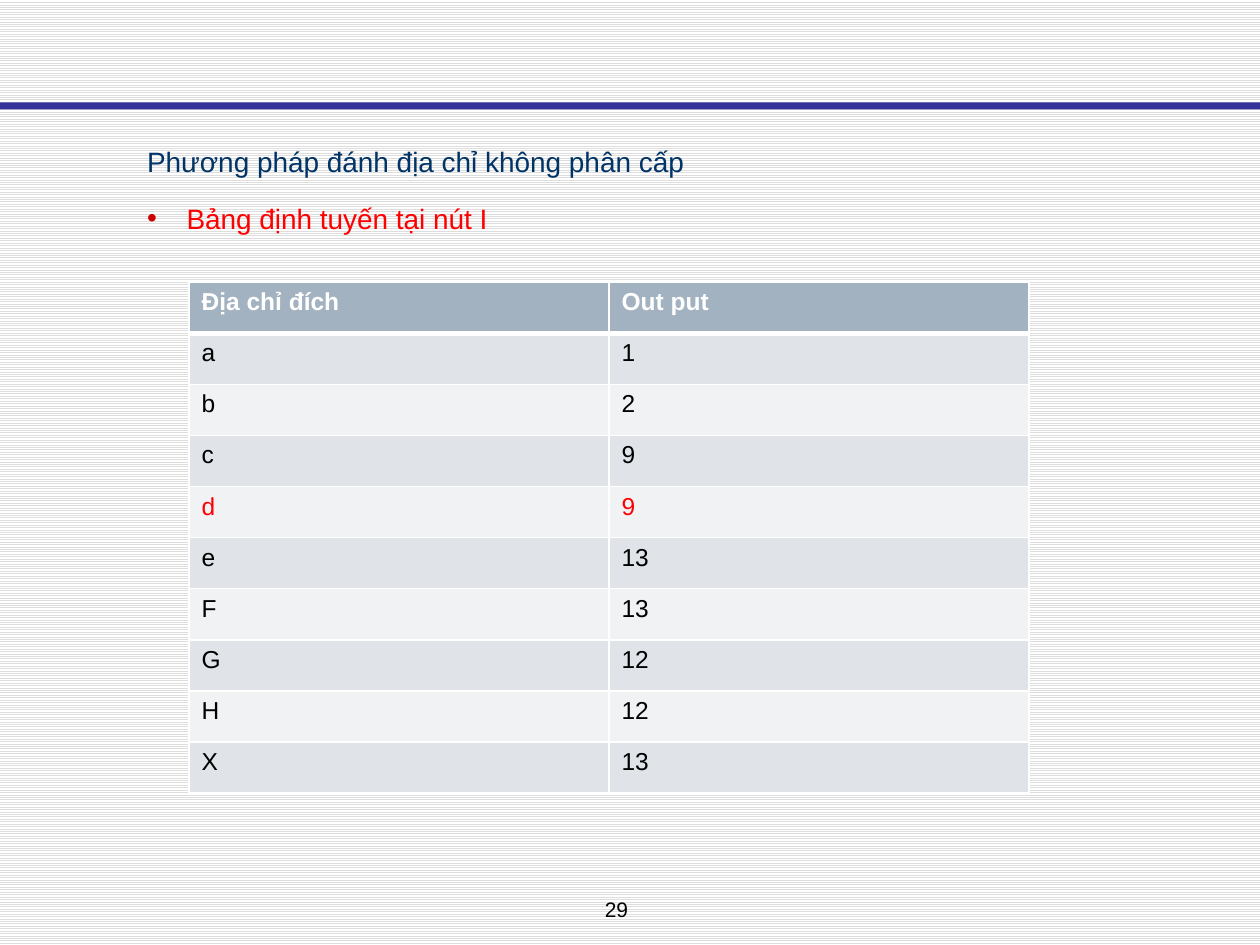
from lxml.etree import SubElement as Sub
from pptx import Presentation
from pptx.dml.color import RGBColor
from pptx.enum.dml import MSO_PATTERN
from pptx.enum.shapes import MSO_SHAPE as Shape
from pptx.enum.text import PP_ALIGN as Align
from pptx.oxml.ns import qn
from pptx.util import Pt


def color(code):
    return RGBColor.from_string(code)


class Deck:
    face = "Arial"
    white, black, red, navy = "FFFFFF", "000000", "FF0000", "003366"
    head, bands = "A3B2C1", ("E0E4E9", "F0F2F4")

    def __init__(self, wide, high):
        self.file = Presentation()
        self.file.slide_width, self.file.slide_height = Pt(wide), Pt(high)
        self.slide = self.file.slides.add_slide(self.file.slide_layouts[6])
        self.shapes = self.slide.shapes

    def ground(self, fore, back):
        fill = self.slide.background.fill
        fill.patterned()
        fill.pattern = MSO_PATTERN.LIGHT_HORIZONTAL
        fill.fore_color.rgb, fill.back_color.rgb = color(fore), color(back)

    def bar(self, x, y, w, h, hue):
        bar = self.shapes.add_shape(Shape.RECTANGLE, Pt(x), Pt(y), Pt(w), Pt(h))
        bar.shadow.inherit = False
        bar.fill.solid()
        bar.fill.fore_color.rgb = color(hue)
        bar.line.fill.background()

    def style(self, para, size, hue, bold=False):
        font = para.font
        font.name, font.size, font.bold = self.face, Pt(size), bold
        font.color.rgb = color(hue)

    def text(self, x, y, w, h, lines, size, align=Align.LEFT, space=1, gap=0):
        box = self.shapes.add_textbox(Pt(x), Pt(y), Pt(w), Pt(h))
        frame = box.text_frame
        frame.word_wrap = True
        for i, (words, hue, dot) in enumerate(lines):
            para = frame.add_paragraph() if i else frame.paragraphs[0]
            para.text, para.alignment = words, align
            para.line_spacing, para.space_before = space, Pt(gap)
            self.style(para, size, hue)
            if dot:
                self.bullet(para, dot)

    def bullet(self, para, hue):
        props = para._p.get_or_add_pPr()
        props.set("marL", str(Pt(22.5)))
        props.set("indent", str(Pt(-22.5)))
        tint = Sub(props, qn("a:buClr"))
        Sub(tint, qn("a:srgbClr"), val=hue)
        Sub(props, qn("a:buFont"), typeface=self.face)
        Sub(props, qn("a:buChar"), char="•")

    def edges(self, cell, top, base):
        props = cell._tc.get_or_add_tcPr()
        for side, width in zip("LRTB", (1, 1, top, base)):
            line = Sub(props, qn(f"a:ln{side}"), w=str(Pt(width)))
            fill = Sub(line, qn("a:solidFill"))
            Sub(fill, qn("a:srgbClr"), val=self.white)

    def table(self, x, y, w, h, rows, mark):
        cols = len(rows[0])
        grid = self.shapes.add_table(
            len(rows), cols, Pt(x), Pt(y), Pt(w), Pt(h)).table
        for r, row in enumerate(rows):
            for c, words in enumerate(row):
                cell = grid.cell(r, c)
                cell.text = words
                self.edges(cell, 3 if r == 1 else 1, 1 if r else 3)
                cell.fill.solid()
                back = self.bands[(r - 1) % 2] if r else self.head
                cell.fill.fore_color.rgb = color(back)
                hue = self.red if row[0] == mark else self.black
                self.style(cell.text_frame.paragraphs[0], 14,
                           hue if r else self.white, r == 0)


def main():
    deck = Deck(720, 540)
    deck.ground("DDDDDD", deck.white)
    deck.bar(0, 58.5, 720, 4, "333399")
    deck.text(294, 508.5, 116.5, 21.5, [("29", deck.black, None)], 12,
              Align.CENTER)
    deck.text(77, 72.5, 613, 89.5, [
        ("Phương pháp đánh địa chỉ không phân cấp", deck.navy, None),
        ("Bảng định tuyến tại nút I", deck.red, "CC0000"),
    ], 16, space=1.35, gap=6.5)
    ports = zip("abcdeFGHX", "1 2 9 9 13 13 12 12 13".split())
    deck.table(108, 161.2, 480, 292,
               [("Địa chỉ đích", "Out put"), *ports], "d")
    deck.file.save("out.pptx")


if __name__ == "__main__":
    main()
